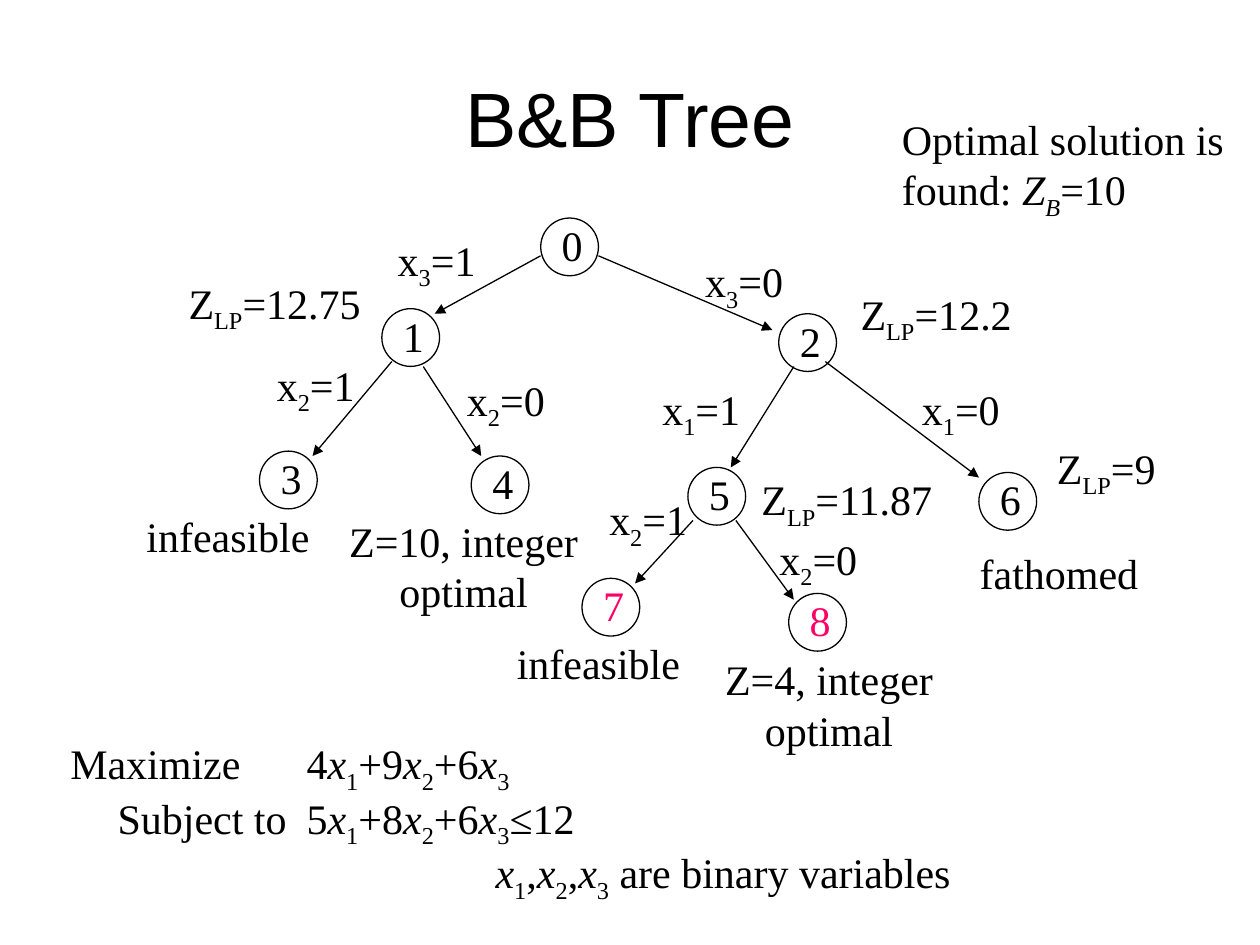
from dataclasses import dataclass

from lxml.etree import SubElement
from pptx import Presentation
from pptx.dml.color import RGBColor
from pptx.enum.shapes import MSO_CONNECTOR as Connector, MSO_SHAPE as Shape
from pptx.enum.text import MSO_ANCHOR as Anchor, MSO_AUTO_SIZE as AutoSize, PP_ALIGN as Align
from pptx.oxml.ns import qn
from pptx.util import Pt

COLORS = {"ink": "000000", "leaf": "FF0066"}
SERIF = "Times New Roman"
NODE_SIZE = 33


@dataclass
class Node:
    name: str
    left: float
    top: float
    color: str = "ink"


@dataclass
class Edge:
    x1: float
    y1: float
    x2: float
    y2: float


@dataclass
class Label:
    text: str
    left: float
    top: float
    width: float
    height: float = 36
    inset: bool = True
    align: Align = Align.CENTER


def branch(variable: int, value: int, left: float, top: float) -> Label:
    return Label(f"x_{variable}_={value}", left, top, 75.6, 28.8, inset=False)


def bound(value: str, left: float, top: float) -> Label:
    return Label(f"Z_LP_={value}", left, top, 126.7)


NODES = [
    Node("0", 309, 124.6),
    Node("1", 218.2, 176.4),
    Node("2", 445, 179.3),
    Node("3", 148.3, 257.8),
    Node("4", 269.3, 260.6),
    Node("5", 393.1, 267.1),
    Node("6", 559.4, 270),
    Node("7", 332.6, 330.5, "leaf"),
    Node("8", 450.7, 339.1, "leaf"),
]

EDGES = [
    Edge(308.9, 146.2, 248.4, 179.3),
    Edge(342, 146.2, 441.4, 188.6),
    Edge(223.9, 206.6, 178.6, 260.6),
    Edge(241.9, 209.5, 275, 260.6),
    Edge(453.6, 209.5, 417.6, 267.1),
    Edge(471.6, 206.6, 559.4, 272.9),
    Edge(396, 297.4, 362.9, 333.4),
    Edge(420.5, 297.4, 453.6, 342.7),
]

LABELS = [
    branch(3, 1, 211.7, 133.9),
    branch(3, 0, 387.4, 146.2),
    branch(2, 1, 142.6, 205.2),
    branch(2, 0, 251.3, 213.8),
    branch(1, 1, 362.9, 218.9),
    branch(1, 0, 511.2, 218.9),
    branch(2, 1, 332.6, 282.2),
    branch(2, 0, 429.8, 304.6),
    bound("12.75", 93.6, 154.8),
    bound("12.2", 471.6, 161.3),
    bound("11.87", 420.5, 267.1),
    bound("9", 568.8, 249.1),
    Label("infeasible", 72.7, 288, 115.2),
    Label("infeasible", 284.4, 360.7, 115.2),
    Label("fathomed", 550.8, 309.6, 108.7),
    Label("Z=10, integer optimal", 190.8, 290.9, 148.3, 64.8),
    Label("Z=4, integer optimal", 399.6, 370.1, 148.3, 64.8),
    Label("Optimal solution is found:~ Z_B_~=10", 508.3, 61.2, 205.9, 64.8, align=Align.LEFT),
]

MODEL = [
    ("Maximize \t4~x~_1_+9~x~_2_+6~x~_3_", 27, -27),
    ("Subject to \t5~x~_1_+8~x~_2_+6~x~_3_≤12", 27, 0),
    ("~x~_1_,~x~_2_,~x~_3_ are binary variables", 243, 0),
]


def write(para, text: str, *, size: float = 24, font: str = SERIF, color: str = "ink",
          align: Align = Align.LEFT, before: int = 0, spacing: float | None = None,
          margin: float = 0, indent: float = 0) -> None:
    """Write text in which ~ toggles italic and _ toggles subscript."""
    para.alignment = align
    para.line_spacing = spacing
    properties = para._p.get_or_add_pPr()
    properties.set("marL", str(Pt(margin)))
    properties.set("indent", str(Pt(indent)))
    if before:
        gap = SubElement(properties, qn("a:spcBef"))
        SubElement(gap, qn("a:spcPct")).set("val", str(before * 1000))
    italic = False
    for i, styled in enumerate(text.split("~")):
        italic = i % 2 == 1
        for j, piece in enumerate(styled.split("_")):
            if not piece:
                continue
            span = para.add_run()
            span.text = piece
            span.font.size = Pt(size)
            span.font.name = font
            span.font.italic = italic
            span.font.color.rgb = RGBColor.from_string(COLORS[color])
            if j % 2:
                span.font._element.set("baseline", "-25000")


def add_box(page, left: float, top: float, width: float, height: float,
            inset: bool = True, anchor: Anchor = Anchor.TOP):
    box = page.shapes.add_textbox(Pt(left), Pt(top), Pt(width), Pt(height))
    frame = box.text_frame
    frame.word_wrap = True
    frame.auto_size = AutoSize.NONE
    frame.vertical_anchor = anchor
    if not inset:
        frame.margin_left = frame.margin_right = frame.margin_top = frame.margin_bottom = 0
    return frame


def draw_label(page, label: Label, color: str = "ink") -> None:
    frame = add_box(page, label.left, label.top, label.width, label.height, label.inset)
    write(frame.paragraphs[0], label.text, color=color, align=label.align, before=50)


def draw_node(page, node: Node) -> None:
    circle = page.shapes.add_shape(
        Shape.OVAL, Pt(node.left), Pt(node.top), Pt(NODE_SIZE), Pt(NODE_SIZE))
    circle.shadow.inherit = False
    circle.fill.background()
    circle.line.color.rgb = RGBColor.from_string(COLORS["ink"])
    circle.line.width = Pt(0.75)
    draw_label(page, Label(node.name, node.left - 6, node.top - 2.7, 48), node.color)


def draw_edge(page, edge: Edge) -> None:
    arrow = page.shapes.add_connector(
        Connector.STRAIGHT, Pt(edge.x1), Pt(edge.y1), Pt(edge.x2), Pt(edge.y2))
    arrow.line.color.rgb = RGBColor.from_string(COLORS["ink"])
    arrow.line.width = Pt(0.75)
    SubElement(arrow.line._get_or_add_ln(), qn("a:tailEnd")).set("type", "triangle")
    SubElement(arrow._element.spPr, qn("a:effectLst"))


def main() -> None:
    deck = Presentation()
    deck.slide_width, deck.slide_height = Pt(720), Pt(540)
    page = deck.slides.add_slide(deck.slide_layouts[6])

    title = add_box(page, 36, 21.6, 648, 90, anchor=Anchor.MIDDLE)
    write(title.paragraphs[0], "B&B Tree", size=44, font="Arial", align=Align.CENTER)

    model = add_box(page, 33.1, 421.2, 648, 88.6)
    for i, (text, margin, indent) in enumerate(MODEL):
        para = model.add_paragraph() if i else model.paragraphs[0]
        write(para, text, before=20, spacing=0.8, margin=margin, indent=indent)

    for node in NODES:
        draw_node(page, node)
    for edge in EDGES:
        draw_edge(page, edge)
    for label in LABELS:
        draw_label(page, label)
    deck.save("out.pptx")


if __name__ == "__main__":
    main()
